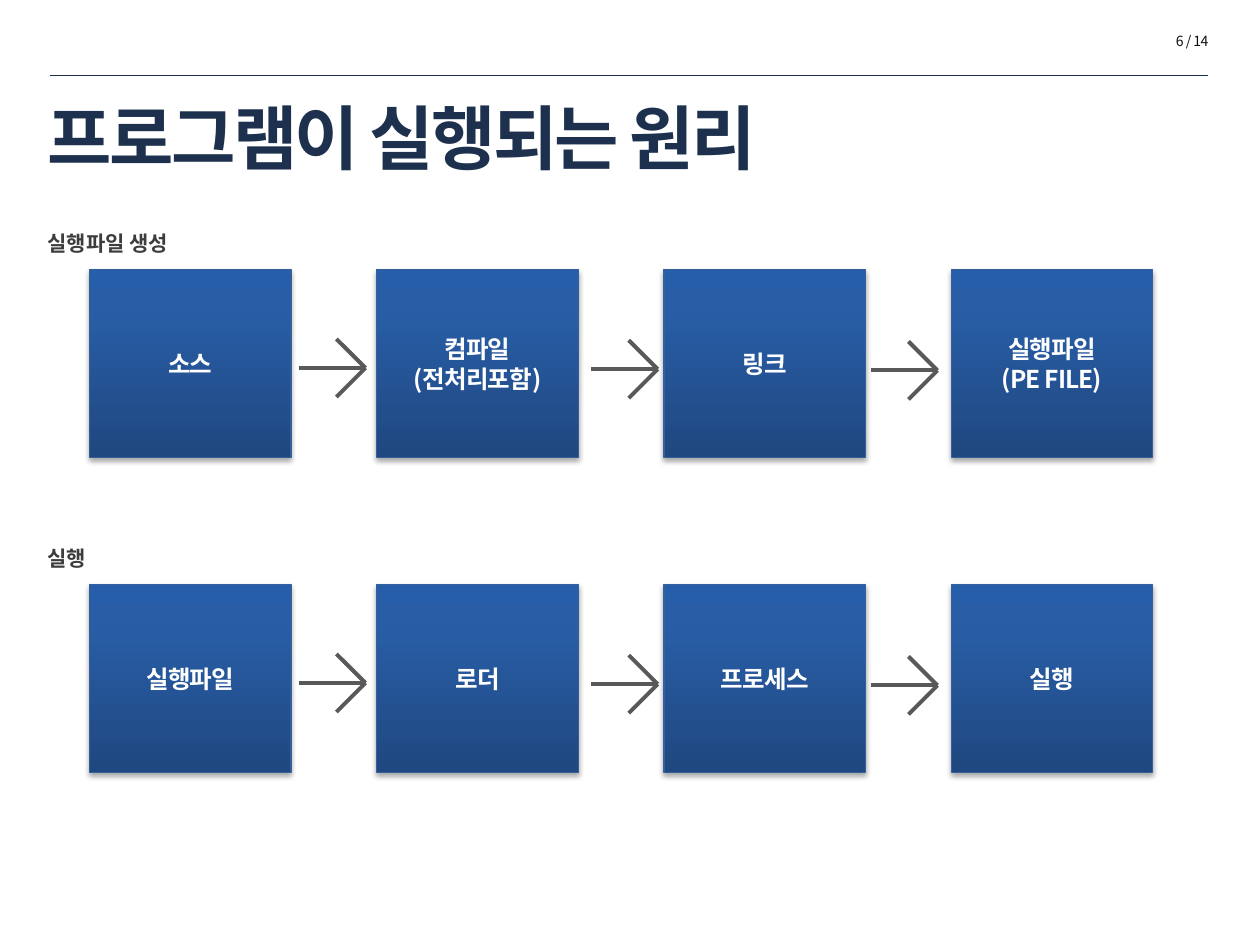
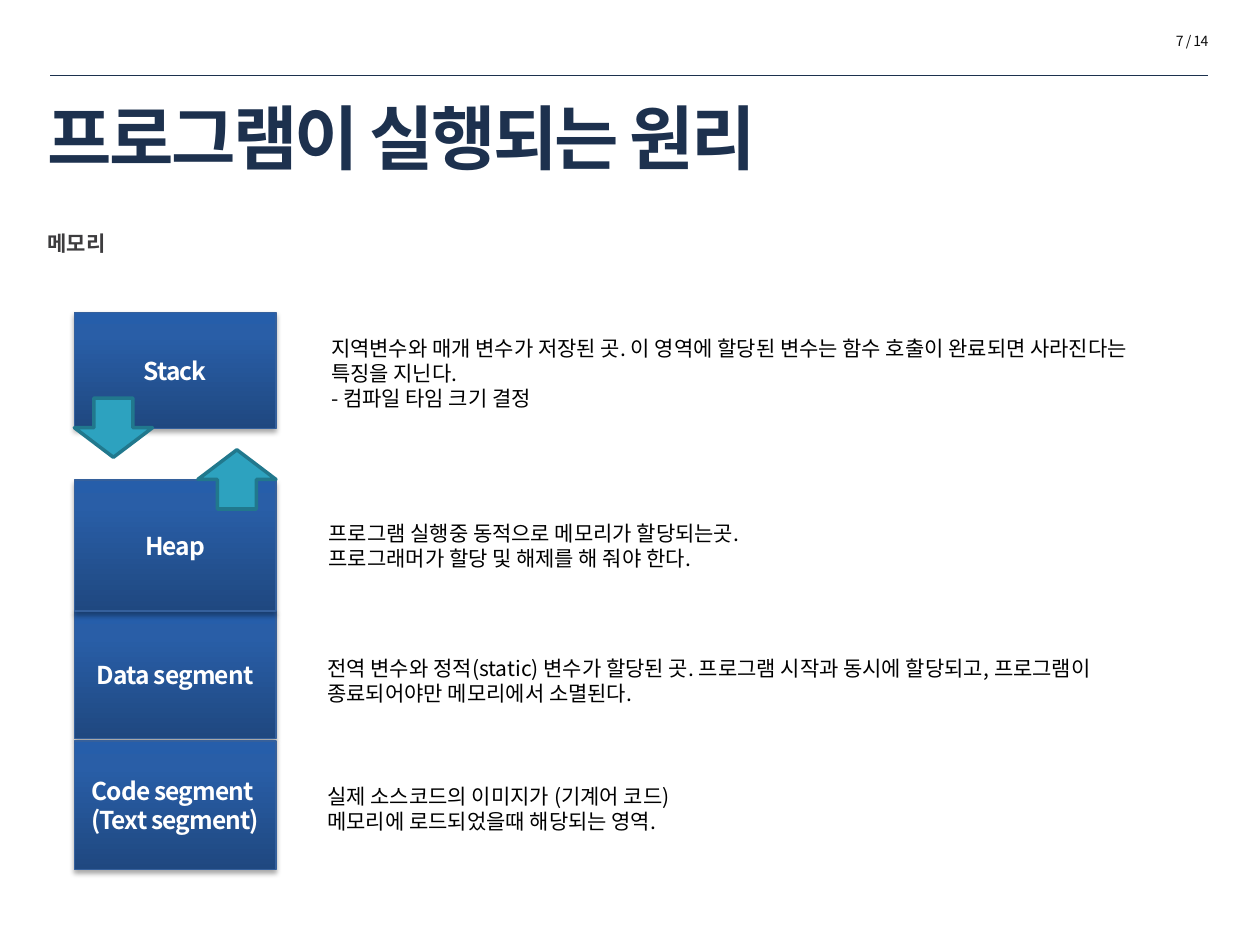
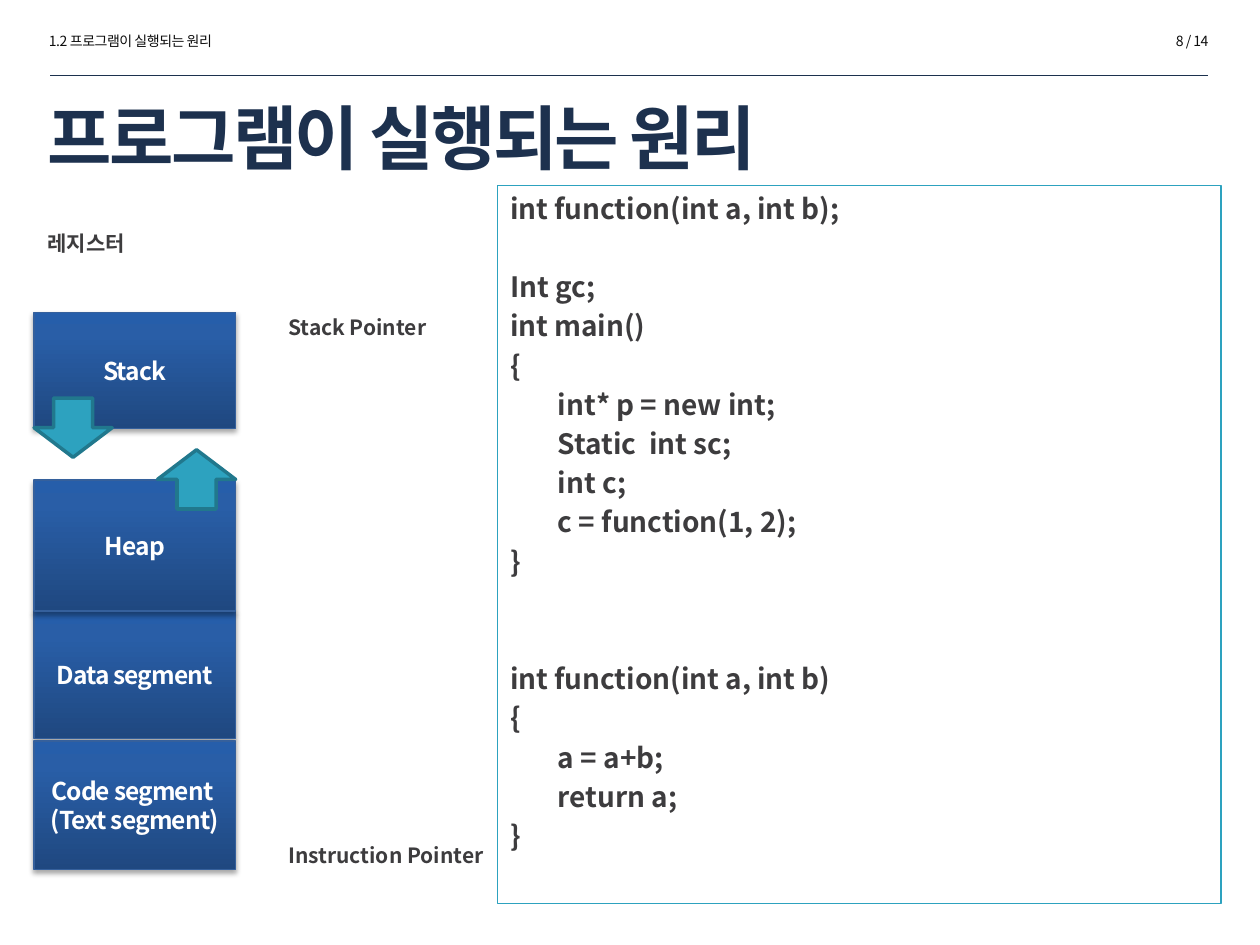
from copy import deepcopy
from dataclasses import dataclass

from lxml.etree import SubElement
from pptx import Presentation
from pptx.dml.color import RGBColor
from pptx.enum.shapes import MSO_CONNECTOR, MSO_SHAPE
from pptx.enum.text import MSO_ANCHOR, MSO_AUTO_SIZE, PP_ALIGN
from pptx.oxml.ns import qn
from pptx.util import Inches, Pt


@dataclass(frozen=True)
class Style:
    size: float
    color: str
    bold: bool = False
    tracking: float = 0


class Theme:
    font = "Noto Sans CJK KR"
    title = Style(40, "1D314E", True, -1.5)
    header = Style(8, "0D0D0D", False, -0.3)
    label = Style(12, "3D3C3E", True)
    code = Style(16, "3D3C3E", True)
    box = Style(14, "FFFFFF", True, -0.5)
    body = Style(12, "000000")
    rule = "1C314E"
    gradient = [(0, "1F4880"), (0.8, "295EA7"), (1, "265EAA")]
    box_line = "35609C"
    arrow = "595959"
    accent, accent_line = "2DA2BF", "21788D"


# Content
TITLE = "프로그램이 실행되는 원리"
SECTION = "1.2 프로그램이 실행되는 원리"
PAGE_COUNT = 14

FLOWS = [
    ("실행파일 생성", [["소스"], ["컴파일", "(전처리포함)"], ["링크"], ["실행파일", "(PE FILE)"]]),
    ("실행", [["실행파일"], ["로더"], ["프로세스"], ["실행"]]),
]

# Memory areas, back to front: lines, top, height
MEMORY = [
    (["Data segment"], 4.85, 1.01),
    (["Stack"], 2.48, 0.92),
    (["Code segment ", "(Text segment)"], 5.88, 1.02),
    (["Heap"], 3.81, 1.04),
]

# Descriptions: left, top, width, height, lines
DESCRIPTIONS = [
    (2.53, 2.61, 6.97, 0.71, [
        "지역변수와 매개 변수가 저장된 곳. 이 영역에 할당된 변수는 함수 호출이 완료되면 사라진다는 특징을 지닌다.",
        "- 컴파일 타임 크기 결정"]),
    (2.51, 4.08, 7.07, 0.71, [
        "프로그램 실행중 동적으로 메모리가 할당되는곳.",
        "프로그래머가 할당 및 해제를 해 줘야 한다."]),
    (2.5, 5.15, 7.08, 0.5, [
        "전역 변수와 정적(static) 변수가 할당된 곳. 프로그램 시작과 동시에 할당되고, 프로그램이 종료되어야만 메모리에서 소멸된다."]),
    (2.5, 6.17, 7.08, 0.5, [
        "실제 소스코드의 이미지가 (기계어 코드)",
        "메모리에 로드되었을때 해당되는 영역."]),
]

POINTERS = [("Stack Pointer", 2.45), ("Instruction Pointer", 6.64)]

# Code blocks: number of free lines above, lines
CODE = [
    (0, ["int function(int a, int b);"]),
    (1, ["Int gc;", "int main()", "{", "\tint* p = new int;", "\tStatic  int sc;",
         "\tint c;", "\tc = function(1, 2);", "}"]),
    (2, ["int function(int a, int b)", "{", "\ta = a+b;", "\treturn a;", "}"]),
]

# Layout
BOX_WIDTH, FLOW_HEIGHT = 1.6, 1.49
FLOW_LEFT, FLOW_STEP, FLOW_ROW_STEP = 0.71, 2.28, 2.5
ARROW_TIPS = [(2.9, 2.92), (5.22, 2.93), (7.44, 2.94)]
SHAFT, HEAD = 0.53, 0.23
BLOCK_ARROW = 0.62, 0.47
HANGING = 0.38
CODE_LINE_PITCH = 22.4


def rgb(value):
    return RGBColor.from_string(value)


def place(*lengths):
    return [Inches(length) for length in lengths]


# Text
def add_run(paragraph, text, style):
    run = paragraph.add_run()
    run.text = text
    font = run.font
    font.name, font.size, font.bold = Theme.font, Pt(style.size), style.bold
    font.color.rgb = rgb(style.color)
    properties = run._r.get_or_add_rPr()
    SubElement(properties, qn("a:ea")).set("typeface", Theme.font)
    if style.tracking:
        properties.set("spc", str(round(style.tracking * 100)))


def write_lines(frame, lines, style, align=PP_ALIGN.LEFT):
    frame.word_wrap = True
    for index, line in enumerate(lines):
        paragraph = frame.add_paragraph() if index else frame.paragraphs[0]
        paragraph.alignment = align
        add_run(paragraph, line, style)


def hang(paragraph, style, space=0):
    properties = paragraph._p.get_or_add_pPr()
    properties.set("marL", str(Inches(HANGING)))
    properties.set("indent", str(-Inches(HANGING)))
    paragraph.space_before = Pt(style.size * 0.2 + space)


def add_text(slide, box, lines, style, align=PP_ALIGN.LEFT, grow=True):
    frame = slide.shapes.add_textbox(*place(*box)).text_frame
    write_lines(frame, lines, style, align)
    frame.auto_size = MSO_AUTO_SIZE.SHAPE_TO_FIT_TEXT if grow else MSO_AUTO_SIZE.NONE
    return frame


def add_label(slide, left, top, height, text):
    frame = add_text(slide, (left, top, 2.23, height), [text], Theme.label, grow=False)
    hang(frame.paragraphs[0], Theme.label)


# Shapes
def add_line(shapes, start, end, color, width):
    line = shapes.add_connector(MSO_CONNECTOR.STRAIGHT, *place(*start, *end))
    line.line.color.rgb, line.line.width = rgb(color), Pt(width)
    SubElement(line._element.spPr, qn("a:effectLst"))


def add_shape(slide, kind, box, line_color, line_width):
    shape = slide.shapes.add_shape(kind, *place(*box))
    shape.line.color.rgb, shape.line.width = rgb(line_color), Pt(line_width)
    shape.shadow.inherit = False
    return shape


def add_gradient(shape):
    fill = shape.fill
    fill.gradient()
    fill.gradient_angle = 90
    stop_list = shape._element.spPr.find(".//" + qn("a:gsLst"))
    stop_list.append(deepcopy(stop_list[0]))
    for stop, (position, color) in zip(fill.gradient_stops, Theme.gradient):
        stop.position, stop.color.rgb = position, rgb(color)


def add_shadow(shape):
    effects = shape._element.spPr.find(qn("a:effectLst"))
    shadow = SubElement(effects, qn("a:outerShdw"), blurRad=str(Pt(3.1)), dist=str(Pt(1.8)),
                        dir="5400000", rotWithShape="0")
    color = SubElement(shadow, qn("a:srgbClr"), val="000000")
    SubElement(color, qn("a:alpha"), val="35000")


def add_box(slide, left, top, height, lines):
    box = add_shape(slide, MSO_SHAPE.RECTANGLE, (left, top, BOX_WIDTH, height), Theme.box_line, 0.75)
    add_gradient(box)
    add_shadow(box)
    box.text_frame.vertical_anchor = MSO_ANCHOR.MIDDLE
    write_lines(box.text_frame, lines, Theme.box, PP_ALIGN.CENTER)


def add_flow_arrow(slide, x, y):
    shapes = slide.shapes.add_group_shape().shapes
    for dx, dy in [(HEAD, HEAD), (HEAD, -HEAD), (SHAFT, 0)]:
        add_line(shapes, (x - dx, y - dy), (x, y), Theme.arrow, 2.25)


def add_memory(slide, left):
    for lines, top, height in MEMORY:
        add_box(slide, left, top, height, lines)
    right = left + BOX_WIDTH - BLOCK_ARROW[0]
    for kind, x, y in [(MSO_SHAPE.DOWN_ARROW, left, 3.16), (MSO_SHAPE.UP_ARROW, right, 3.57)]:
        arrow = add_shape(slide, kind, (x, y, *BLOCK_ARROW), Theme.accent_line, 2)
        arrow.fill.solid()
        arrow.fill.fore_color.rgb = rgb(Theme.accent)


# Slides
def start_slide(presentation, page):
    slide = presentation.slides.add_slide(presentation.slide_layouts[5])
    title = slide.shapes.title
    title.left, title.top, title.width, title.height = place(0.28, 0.58, 9.16, 1)
    frame = title.text_frame
    frame.vertical_anchor, frame.auto_size = MSO_ANCHOR.MIDDLE, MSO_AUTO_SIZE.NONE
    write_lines(frame, [TITLE], Theme.title)
    add_line(slide.shapes, (0.4, 0.6), (9.59, 0.6), Theme.rule, 0.25)
    add_text(slide, (7.96, 0.21, 1.73, 0.24), [f"{page} / {PAGE_COUNT}"], Theme.header, PP_ALIGN.RIGHT)
    return slide


def build_flow_slide(presentation):
    slide = start_slide(presentation, 6)
    for row, (label, steps) in enumerate(FLOWS):
        offset = row * FLOW_ROW_STEP
        add_label(slide, 0.28, 1.78 + offset, 0.95, label)
        for column, lines in enumerate(steps):
            add_box(slide, FLOW_LEFT + column * FLOW_STEP, 2.14 + offset, FLOW_HEIGHT, lines)
        for x, y in ARROW_TIPS:
            add_flow_arrow(slide, x, y + offset)


def build_memory_slide(presentation):
    slide = start_slide(presentation, 7)
    add_label(slide, 0.28, 1.78, 0.95, "메모리")
    add_memory(slide, 0.59)
    for *box, lines in DESCRIPTIONS:
        add_text(slide, box, lines, Theme.body)


def build_register_slide(presentation):
    slide = start_slide(presentation, 8)
    add_text(slide, (0.29, 0.21, 1.73, 0.24), [SECTION], Theme.header)
    add_label(slide, 0.28, 1.78, 0.95, "레지스터")
    add_memory(slide, 0.27)
    for text, top in POINTERS:
        add_label(slide, 2.19, top, 0.49, text)

    # Code listing
    listing = add_shape(slide, MSO_SHAPE.RECTANGLE, (3.95, 1.47, 5.74, 5.7), Theme.accent, 0.75)
    listing.fill.background()
    frame = listing.text_frame
    frame.vertical_anchor = MSO_ANCHOR.TOP
    write_lines(frame, [line for _, lines in CODE for line in lines], Theme.code)
    gaps = [0 if index else free for free, lines in CODE for index in range(len(lines))]
    for paragraph, free in zip(frame.paragraphs, gaps):
        hang(paragraph, Theme.code, free * CODE_LINE_PITCH)


def main():
    presentation = Presentation()
    presentation.slide_width, presentation.slide_height = place(10, 7.5)
    build_flow_slide(presentation)
    build_memory_slide(presentation)
    build_register_slide(presentation)
    presentation.save("out.pptx")


if __name__ == "__main__":
    main()
